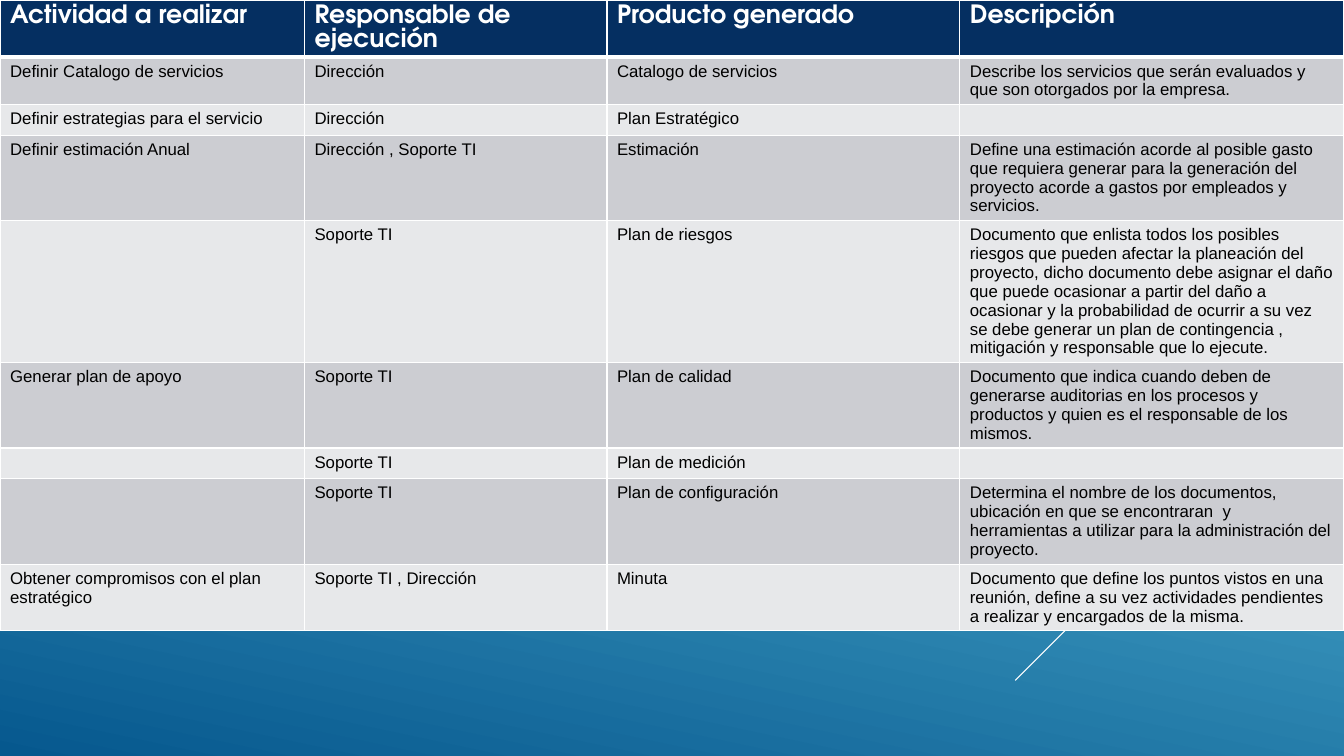
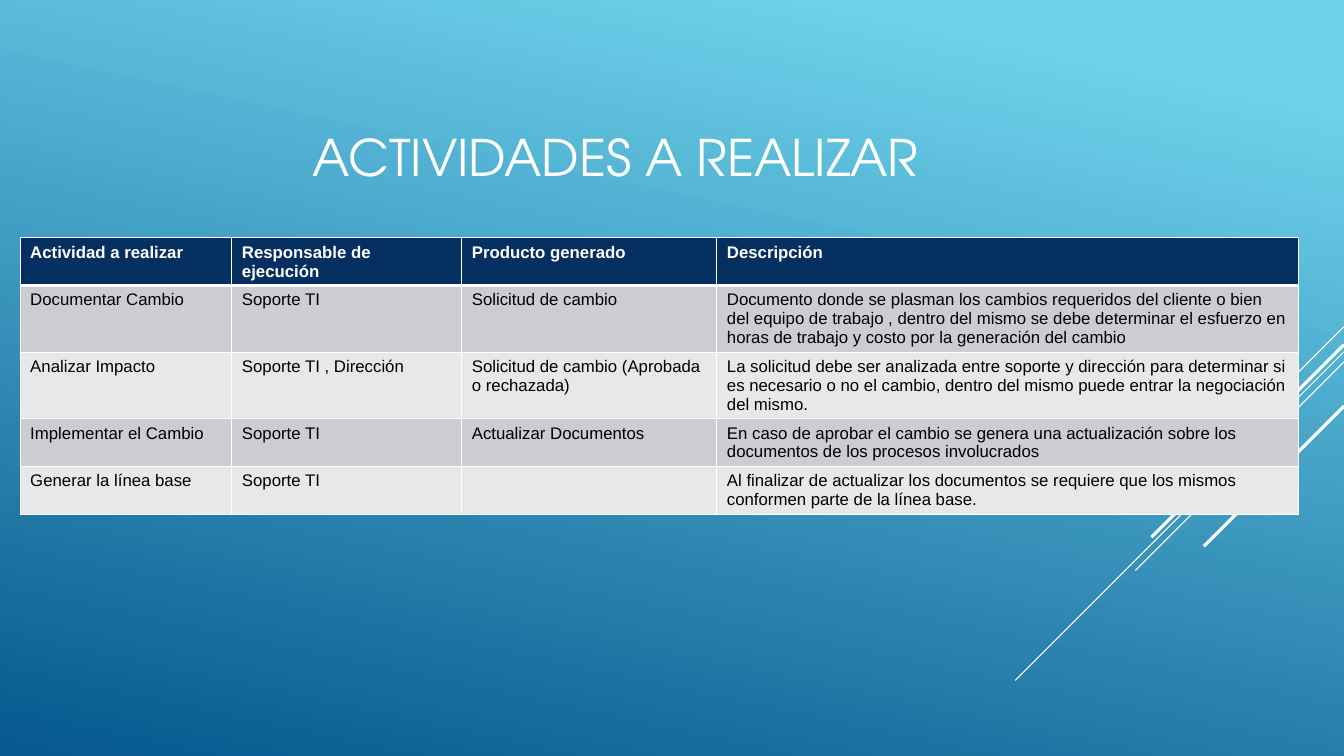
from dataclasses import dataclass

from lxml.etree import SubElement
from pptx import Presentation
from pptx.dml.color import RGBColor
from pptx.enum.text import MSO_ANCHOR, PP_ALIGN
from pptx.oxml.ns import qn
from pptx.util import Inches, Pt


@dataclass(frozen=True)
class Theme:
    white: str = "FFFFFF"
    black: str = "000000"
    navy: str = "052F61"
    bands: tuple = ("CCCDD2", "E7E8EA")
    gradient: tuple = ((0.1, "6ED2EB"), (1.0, "06588E"))
    gradient_angle: int = 360 - 102
    display_font: str = "TeX Gyre Adventor"
    body_font: str = "Arial"
    title_size: int = 36
    header_size: int = 18
    body_size: int = 12
    thin_border: int = 1
    thick_border: int = 3


THEME = Theme()
WIDTH, HEIGHT = 13.33, 7.5

# Diagonals fall at 45 degrees from the right edge: start height, run, line width
DIAGONALS = [
    (3.24, 1.0, 0.75),
    (3.49, 3.26, 0.75),
    (3.59, 2.07, 0.75),
    (3.42, 1.91, 2.25),
    (4.03, 1.39, 2.25),
]

HEADERS = ["Actividad a realizar", "Responsable de ejecución", "Producto generado", "Descripción"]

PLANNING = [
    ("Definir Catalogo de servicios", "Dirección", "Catalogo de servicios",
     "Describe los servicios que serán evaluados y que son otorgados por la empresa."),
    ("Definir estrategias para el servicio", "Dirección", "Plan Estratégico", ""),
    ("Definir estimación Anual", "Dirección , Soporte TI", "Estimación",
     "Define una estimación acorde al posible gasto que requiera generar para la generación "
     "del proyecto acorde a gastos por empleados y servicios."),
    ("", "Soporte TI", "Plan de riesgos",
     "Documento que enlista todos los posibles riesgos que pueden afectar la planeación del "
     "proyecto, dicho documento debe asignar el daño que puede ocasionar a partir del daño a "
     "ocasionar y la probabilidad de ocurrir a su vez se debe generar un plan de contingencia , "
     "mitigación y responsable que lo ejecute."),
    ("Generar plan de apoyo", "Soporte TI", "Plan de calidad",
     "Documento que indica cuando deben de generarse auditorias en los procesos y productos "
     "y quien es el responsable de los mismos."),
    ("", "Soporte TI", "Plan de medición", ""),
    ("", "Soporte TI", "Plan de configuración",
     "Determina el nombre de los documentos, ubicación en que se encontraran  y herramientas "
     "a utilizar para la administración del proyecto."),
    ("Obtener compromisos con el plan estratégico", "Soporte TI , Dirección", "Minuta",
     "Documento que define los puntos vistos en una reunión, define a su vez actividades "
     "pendientes a realizar y encargados de la misma."),
]

CHANGES_TITLE = "ACTIVIDADES A REALIZAR"
CHANGES = [
    ("Documentar Cambio", "Soporte TI", "Solicitud de cambio",
     "Documento donde se plasman los cambios requeridos del cliente o bien del equipo de "
     "trabajo , dentro del mismo se debe determinar el esfuerzo en horas de trabajo y costo "
     "por la generación del cambio"),
    ("Analizar Impacto", "Soporte TI , Dirección", "Solicitud de cambio (Aprobada o rechazada)",
     "La solicitud debe ser analizada entre soporte y dirección para determinar si es "
     "necesario o no el cambio, dentro del mismo puede entrar la negociación del mismo."),
    ("Implementar el Cambio", "Soporte TI", "Actualizar Documentos",
     "En caso de aprobar el cambio se genera una actualización sobre los documentos de los "
     "procesos involucrados"),
    ("Generar la línea base", "Soporte TI", "",
     "Al finalizar de actualizar los documentos se requiere que los mismos conformen parte "
     "de la línea base."),
]

# Row heights follow the longest cell of each row, counted in lines of body text
CELL_PADDING, LINE_HEIGHT = 0.1, 0.187
PLANNING_LINES = [2, 1, 4, 7, 4, 1, 4, 3]
CHANGES_LINES = [3, 3, 2, 2]


def row_height(lines):
    return CELL_PADDING + lines * LINE_HEIGHT


def color(value):
    return RGBColor.from_string(value)


def style_master(presentation, slide):
    """Put the gradient and the diagonals on the master, drawing the lines by way of a slide."""
    master = presentation.slide_master
    fill = master.background.fill
    fill.gradient()
    fill.gradient_angle = THEME.gradient_angle
    for stop, (position, value) in zip(fill.gradient_stops, THEME.gradient):
        stop.position = position
        stop.color.rgb = color(value)
    for top, run, width in DIAGONALS:
        line = slide.shapes.add_connector(
            1, Inches(WIDTH), Inches(top), Inches(WIDTH - run), Inches(top + run))
        line.line.color.rgb = color(THEME.white)
        line.line.width = Pt(width)
        SubElement(line._element.spPr, qn("a:effectLst"))
        master.shapes._spTree.append(line._element)


def add_run(paragraph, text, font, size, value, bold=False):
    run = paragraph.add_run()
    run.text = text
    run.font.name = font
    run.font.size = Pt(size)
    run.font.bold = bold
    run.font.color.rgb = color(value)


def set_borders(cell, top, bottom):
    properties = cell._tc.get_or_add_tcPr()
    sides = {"L": THEME.thin_border, "R": THEME.thin_border, "T": top, "B": bottom}
    for side, width in sides.items():
        border = SubElement(properties, qn(f"a:ln{side}"), w=str(Pt(width)))
        fill = SubElement(border, qn("a:solidFill"))
        SubElement(fill, qn("a:srgbClr"), val=THEME.white)


def add_activity_table(slide, left, top, columns, rows, line_counts, header_height,
                       header_font, header_size):
    heights = [header_height] + [row_height(lines) for lines in line_counts]
    table = slide.shapes.add_table(
        len(heights), len(columns), Inches(left), Inches(top),
        Inches(sum(columns)), Inches(sum(heights))).table
    for column, width in zip(table.columns, columns):
        column.width = Inches(width)
    for row, height in zip(table.rows, heights):
        row.height = Inches(height)
    for row_index, texts in enumerate([HEADERS, *rows]):
        is_header = row_index == 0
        if is_header:
            background = THEME.navy
            style = (header_font, header_size, THEME.white, True)
        else:
            background = THEME.bands[(row_index - 1) % 2]
            style = (THEME.body_font, THEME.body_size, THEME.black)
        for column_index, text in enumerate(texts):
            cell = table.cell(row_index, column_index)
            set_borders(cell,
                        THEME.thick_border if row_index == 1 else THEME.thin_border,
                        THEME.thick_border if is_header else THEME.thin_border)
            cell.fill.solid()
            cell.fill.fore_color.rgb = color(background)
            paragraph = cell.text_frame.paragraphs[0]
            if text:
                add_run(paragraph, text, *style)
            else:
                SubElement(paragraph._p, qn("a:endParaRPr"), sz=str(THEME.body_size * 100))


def add_title(slide, text):
    title = slide.shapes.title
    title.left, title.top = Inches(1.44), Inches(0.73)
    title.width, title.height = Inches(WIDTH * 0.7), Inches(HEIGHT * 0.22)
    title.text_frame.vertical_anchor = MSO_ANCHOR.MIDDLE
    paragraph = title.text_frame.paragraphs[0]
    paragraph.alignment = PP_ALIGN.CENTER
    add_run(paragraph, text, THEME.display_font, THEME.title_size, THEME.white)


def main():
    presentation = Presentation()
    presentation.slide_width, presentation.slide_height = Inches(WIDTH), Inches(HEIGHT)
    title_only, blank = presentation.slide_layouts[5], presentation.slide_layouts[6]

    planning = presentation.slides.add_slide(blank)
    style_master(presentation, planning)
    add_activity_table(planning, 0, 0, [3.02, 3, 3.5, 3.81], PLANNING, PLANNING_LINES,
                       0.56, THEME.display_font, THEME.header_size)

    changes = presentation.slides.add_slide(title_only)
    add_title(changes, CHANGES_TITLE)
    add_activity_table(changes, 0.2, 2.36, [2.1, 2.28, 2.53, 5.77], CHANGES, CHANGES_LINES,
                       row_height(2), THEME.body_font, THEME.body_size)

    presentation.save("out.pptx")


if __name__ == "__main__":
    main()
